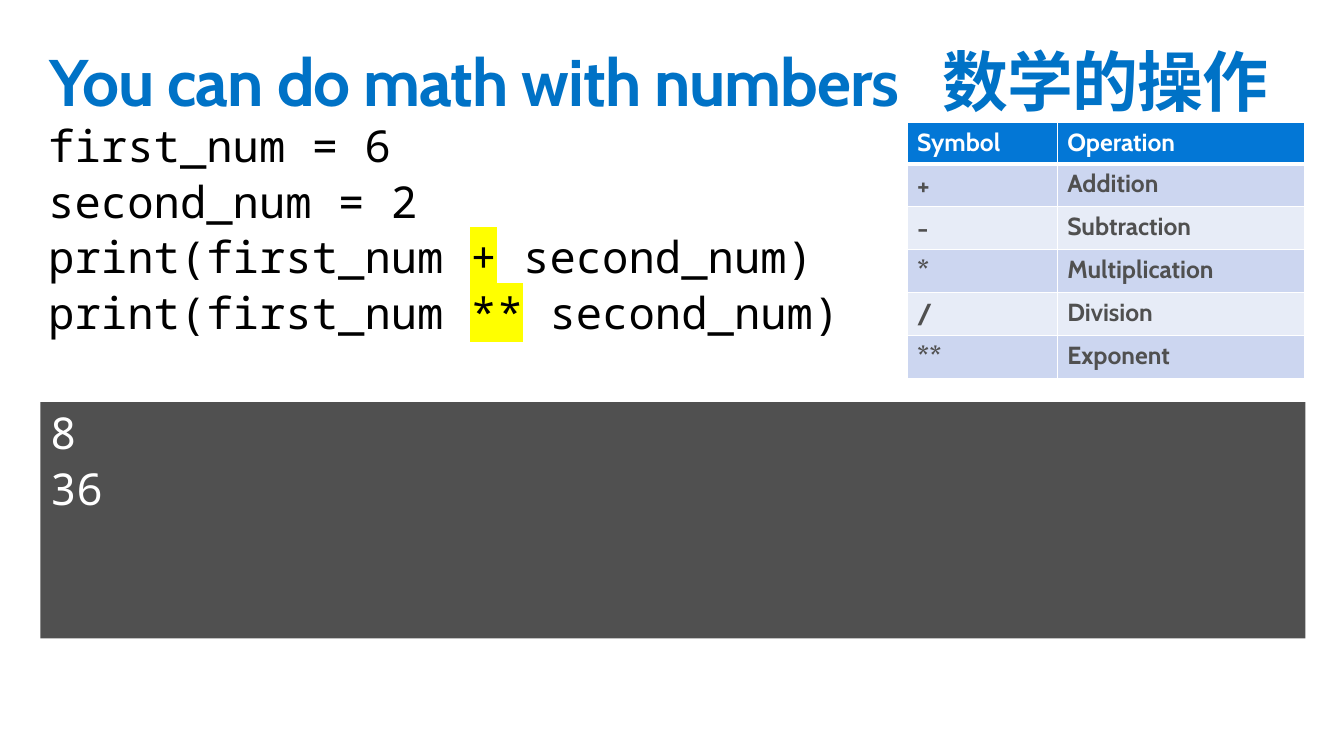
from lxml import etree
from pptx import Presentation
from pptx.dml.color import RGBColor
from pptx.enum.shapes import MSO_SHAPE
from pptx.enum.text import MSO_ANCHOR, PP_ALIGN
from pptx.oxml import parse_xml
from pptx.oxml.ns import qn
from pptx.util import Pt

RECT = MSO_SHAPE.RECTANGLE
TOP = MSO_ANCHOR.TOP
LEFT = PP_ALIGN.LEFT
NS = 'xmlns:a="http://schemas.openxmlformats.org/drawingml/2006/main"'


def rgb(color):
    return RGBColor.from_string(color)


def style(p, size, name, color, bold=False):
    p.alignment = LEFT
    p.font.size = Pt(size)
    p.font.name = name
    p.font.bold = bold
    p.font.color.rgb = rgb(color)


prs = Presentation()
prs.slide_width, prs.slide_height = Pt(979.2), Pt(550.8)
s = prs.slides.add_slide(prs.slide_layouts[6])

title = s.shapes.add_textbox(Pt(28.8), Pt(28.8), Pt(921.6), Pt(72))
tf = title.text_frame
tf.word_wrap = True
p = tf.paragraphs[0]
p.line_spacing = 0.9
style(p, 48, "Cabin", "0072C6", True)
r = p.add_run()
r.text = "You can do math with numbers\t数学的操作"
r._r.get_or_add_rPr().set("spc", "-70")
tabs = parse_xml(f'<a:tabLst {NS}><a:tab pos="{Pt(651)}" algn="l"/></a:tabLst>')
p._p.pPr.find(qn("a:defRPr")).addprevious(tabs)

code = s.shapes.add_textbox(Pt(28.1), Pt(83.5), Pt(921.6), Pt(336.2))
output = s.shapes.add_shape(RECT, Pt(29.5), Pt(293), Pt(921.6), Pt(172.1))
output.shadow.inherit = False
output.fill.solid()
output.fill.fore_color.rgb = rgb("505050")
output.line.fill.background()

code_lines = [
    ["first_num = 6"],
    ["second_num = 2"],
    ["print(first_num ", "+", " second_num)"],
    ["print(first_num ", "**", " second_num)"],
]
for sp, color, lines in [(code, "000000", code_lines), (output, "FFFFFF", [["8"], ["36"]])]:
    tf = sp.text_frame
    tf.word_wrap = True
    tf.vertical_anchor = TOP
    tf.margin_left = tf.margin_right = tf.margin_top = tf.margin_bottom = Pt(7.2)
    for i, parts in enumerate(lines):
        p = tf.add_paragraph() if i else tf.paragraphs[0]
        p.line_spacing = 0.9
        p.space_before = Pt(6)
        style(p, 32, "Noto Sans Mono", color)
        for text in parts:
            r = p.add_run()
            r.text = text
            if text in ("+", "**"):
                highlight = etree.SubElement(r._r.get_or_add_rPr(), qn("a:highlight"))
                etree.SubElement(highlight, qn("a:srgbClr")).set("val", "FFFF00")

title.text_frame.margin_left = title.text_frame.margin_top = Pt(7.2)

operations = [
    ("Symbol", "Operation"),
    ("+", "Addition"),
    ("-", "Subtraction"),
    ("*", "Multiplication"),
    ("/", "Division"),
    ("**", "Exponent"),
]
table = s.shapes.add_table(6, 2, Pt(661), Pt(89.3), Pt(289.4), Pt(186)).table
table.columns[0].width, table.columns[1].width = Pt(109.4), Pt(180)
for i, row in enumerate(operations):
    table.rows[i].height = Pt(31 if i else 30)
    for j, text in enumerate(row):
        cell = table.cell(i, j)
        tcPr = cell._tc.get_or_add_tcPr()
        for side in "LRTB":
            thick = (i == 0 and side == "B") or (i == 1 and side == "T")
            tcPr.append(parse_xml(
                f'<a:ln{side} {NS} w="{Pt(3 if thick else 1)}"><a:solidFill>'
                f'<a:srgbClr val="FFFFFF"/></a:solidFill></a:ln{side}>'))
        cell.fill.solid()
        cell.fill.fore_color.rgb = rgb("0377D6" if i == 0 else "CCD6F0" if i % 2 else "E7ECF7")
        cell.text = text
        size = 20 if i and j == 0 else 18
        style(cell.text_frame.paragraphs[0], size, "Cabin", "505050" if i else "FFFFFF", True)

prs.save("out.pptx")
